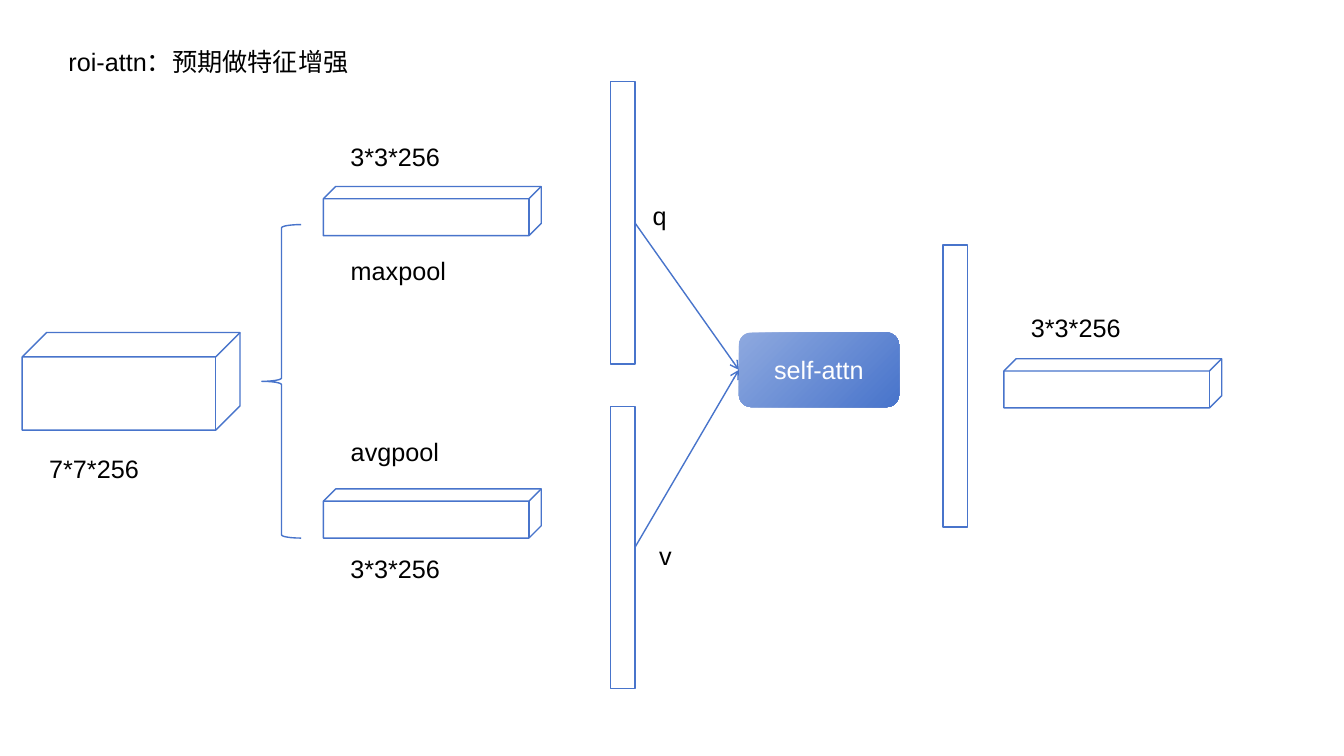
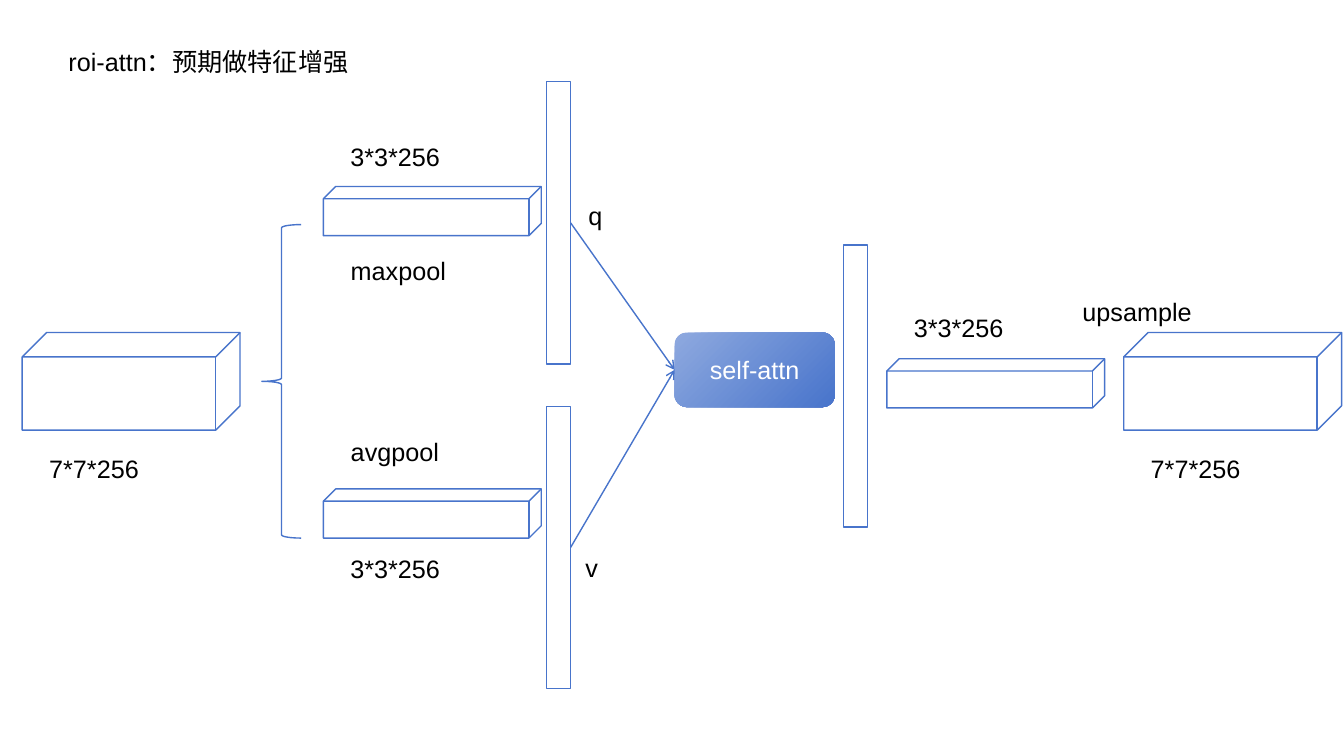
from lxml import etree
from pptx import Presentation
from pptx.dml.color import RGBColor
from pptx.enum import shapes as es, text as et
from pptx.oxml.ns import qn
from pptx.util import Cm, Pt

BLUE = RGBColor(0x48, 0x74, 0xCB)
PALE = RGBColor(0x8E, 0xA9, 0xDF)
BLACK = RGBColor(0, 0, 0)
WHITE = RGBColor(255, 255, 255)
FONT = "Arial"
KIND = es.MSO_SHAPE

TITLE = "roi-attn：预期做特征增强"
SMALL, LARGE = ("3*3*256", 1.24), ("7*7*256", 2.46)
CUBE_W, INDENT, LINE_H = 5.49, 0.43, 1.02
BAR_W, BAR_H = 0.61, 7.11
ATTN_GAP, MID = 3.23, 8.38

INPUTS = [
    (LARGE, 0.56, MID, 11.3),
    (SMALL, 8.15, 4.7, 3.43),
    (SMALL, 8.15, 12.32, 13.82),
]
POOLS = [("maxpool", 8.59, 6.32, 3.7), ("avgpool", 8.59, 10.87, 3.7)]
BAR_TOPS = [2.06, 10.24]
OUT_TOP = 6.17
SLIDES = [
    {
        "bars": 15.39,
        "out": 23.77,
        "cubes": [(SMALL, 25.3, 9.04, 7.75)],
        "notes": [("q", 16.2, 4.93, 1.5), ("v", 16.36, 13.49, 1.5)],
    },
    {
        "bars": 13.77,
        "out": 21.26,
        "cubes": [(SMALL, 22.35, 9.04, 7.75), (LARGE, 28.32, MID, 11.3)],
        "notes": [("q", 14.58, 4.93, 1.5), ("v", 14.5, 13.79, 1.5),
                  ("upsample", 27.03, 7.34, 3.8)],
    },
]


def style(frame, color=BLACK, align=et.PP_ALIGN.LEFT, anchor=et.MSO_ANCHOR.TOP):
    frame.word_wrap = True
    frame.vertical_anchor = anchor
    para = frame.paragraphs[0]
    para.alignment = align
    for run in para.runs:
        run.font.name = FONT
        run.font.size = Pt(18)
        run.font.color.rgb = color


def label(tree, words, x, y, w):
    box = tree.add_textbox(Cm(x), Cm(y), Cm(w), Cm(LINE_H))
    box.text_frame.text = words
    style(box.text_frame)


def outline(tree, kind, x, y, w, h):
    shape = tree.add_shape(kind, Cm(x), Cm(y), Cm(w), Cm(h))
    shape.shadow.inherit = False
    shape.fill.background()
    shape.line.color.rgb = BLUE
    shape.line.width = Pt(1)
    return shape


def cube(slide, size, x, y, text_y):
    words, h = size
    group = slide.shapes.add_group_shape().shapes
    outline(group, KIND.CUBE, x, y, CUBE_W, h)
    label(group, words, x + INDENT, text_y, 3.33)


def bar(slide, x, y):
    return outline(slide.shapes, KIND.RECTANGLE, x, y, BAR_W, BAR_H)


def attention(slide, x):
    box = outline(slide.shapes, KIND.ROUNDED_RECTANGLE, x, MID, 4.04, 1.88)
    box.line.fill.background()
    box.fill.gradient()
    box.fill.gradient_angle = 315
    for stop, color in zip(box.fill.gradient_stops, (PALE, BLUE)):
        stop.color.rgb = color
    box.text_frame.text = "self-attn"
    style(box.text_frame, WHITE, et.PP_ALIGN.CENTER, et.MSO_ANCHOR.MIDDLE)
    return box


def arrow(slide, start, end):
    link = slide.shapes.add_connector(es.MSO_CONNECTOR.STRAIGHT, 0, 0, 0, 0)
    link.begin_connect(start, 3)
    link.end_connect(end, 1)
    link.line.color.rgb = BLUE
    link.line.width = Pt(1)
    etree.SubElement(link.line._get_or_add_ln(), qn("a:tailEnd"), type="arrow")
    etree.SubElement(link._element.spPr, qn("a:effectLst"))


def heading(slide):
    title = slide.shapes.title
    title.left, title.top = Cm(1.47), Cm(1.04)
    title.width, title.height = Cm(11.28), Cm(LINE_H)
    title.text_frame.text = TITLE
    style(title.text_frame)


def build(deck, plan):
    slide = deck.slides.add_slide(deck.slide_layouts[5])
    heading(slide)
    for item in INPUTS + plan["cubes"]:
        cube(slide, *item)
    outline(slide.shapes, KIND.LEFT_BRACE, 6.6, 5.66, 0.99, 7.9)
    for item in POOLS + plan["notes"]:
        label(slide.shapes, *item)
    attn = attention(slide, plan["bars"] + ATTN_GAP)
    for y in BAR_TOPS:
        arrow(slide, bar(slide, plan["bars"], y), attn)
    bar(slide, plan["out"], OUT_TOP)


def main():
    deck = Presentation()
    deck.slide_width, deck.slide_height = Cm(33.87), Cm(19.05)
    for plan in SLIDES:
        build(deck, plan)
    deck.save("out.pptx")


if __name__ == "__main__":
    main()
